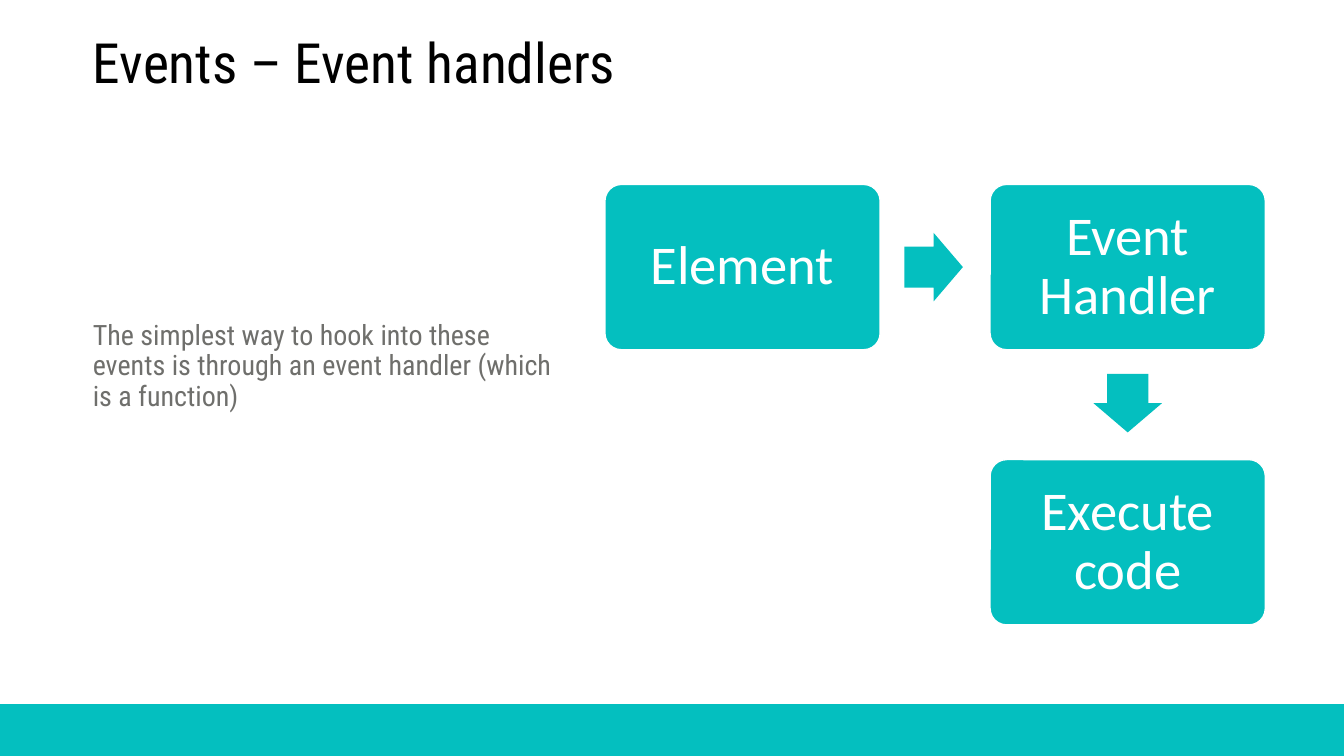
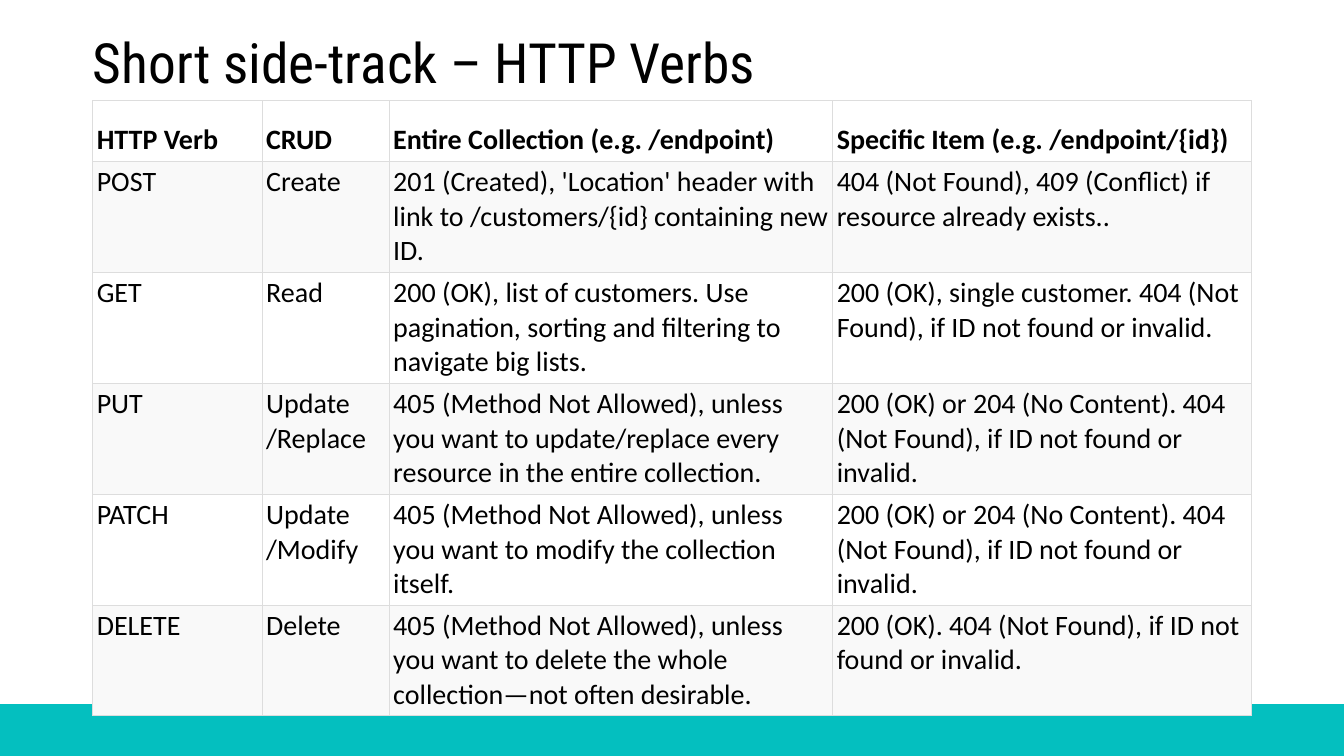
from lxml import etree
from pptx import Presentation
from pptx import util as u
from pptx.dml.color import RGBColor
from pptx.enum import shapes, text
from pptx.oxml.ns import qn

# Content
HANDLERS_TITLE = "Events – Event handlers"
HANDLERS_TEXT = ("The simplest way to hook into these events is through "
                 "an event handler (which is a function)")
# Flow steps: label, grid column, grid row
FLOW = [("Element", 0, 0), ("Event Handler", 1, 0), ("Execute code", 1, 1)]

VERBS_TITLE = "Short side-track – HTTP Verbs"
VERBS = [
    ("HTTP Verb", "CRUD", "Entire Collection (e.g. /endpoint)",
     "Specific Item (e.g. /endpoint/{id})"),
    ("POST", "Create",
     "201 (Created), 'Location' header with link to /customers/{id} containing new ID.",
     "404 (Not Found), 409 (Conflict) if resource already exists.."),
    ("GET", "Read",
     "200 (OK), list of customers. Use pagination, sorting and filtering to navigate big lists.",
     "200 (OK), single customer. 404 (Not Found), if ID not found or invalid."),
    ("PUT", "Update\n/Replace",
     "405 (Method Not Allowed), unless you want to update/replace every resource "
     "in the entire collection.",
     "200 (OK) or 204 (No Content). 404 (Not Found), if ID not found or invalid."),
    ("PATCH", "Update\n/Modify",
     "405 (Method Not Allowed), unless you want to modify the collection itself.",
     "200 (OK) or 204 (No Content). 404 (Not Found), if ID not found or invalid."),
    ("DELETE", "Delete",
     "405 (Method Not Allowed), unless you want to delete the whole "
     "collection—not often desirable.",
     "200 (OK). 404 (Not Found), if ID not found or invalid."),
]

# Theme
COLORS = {"accent": "04BFBF", "white": "FFFFFF", "black": "000000",
          "grey": "6F6F6C", "stripe": "F9F9F9", "border": "DDDDDD"}
STYLES = {  # font, size, colour, bold
    "title": ("Roboto Condensed", 39.6, "black", False),
    "body": ("Roboto Condensed", 20, "grey", False),
    "step": ("Calibri", 39, "white", False),
    "header": ("Calibri", 20, "black", True),
    "cell": ("Calibri", 20, "black", False),
}

# Layout, in inches
WIDTH, HEIGHT = 13.33, 7.5
BAND_HEIGHT = 0.51
MARGIN = 0.92
TITLE_BOX = (MARGIN, 0.36, 10.16, 0.64)
BODY_BOX = (MARGIN, 1.27, 4.68, 4.74)
TEXT_INSETS = (0, 0.05, 0.1, 0.05)
FLOW_LEFT, FLOW_TOP = 6, 1.83
STEP_WIDTH, STEP_HEIGHT = 2.73, 1.64
STEP_GAP = 1.09
ARROW_LENGTH, ARROW_BREADTH, ARROW_GAP = 0.58, 0.68, 0.24
TABLE_TOP = 1
COLUMN_WIDTHS = (1.68, 1.26, 4.4, 4.15)
ROW_HEIGHTS = (0.6,) + (1.09,) * (len(VERBS) - 1)
CELL_INSET = 0.04


def inches(values):
    return [u.Inches(value) for value in values]


def rgb(name):
    return RGBColor.from_string(COLORS[name])


def set_margins(target, insets):
    for side, inset in zip(("left", "top", "right", "bottom"), insets):
        setattr(target, f"margin_{side}", u.Inches(inset))


def write(frame, words, style, align=text.PP_ALIGN.LEFT, spacing=None):
    frame.word_wrap = True
    frame.text = words
    name, size, color, bold = STYLES[style]
    for paragraph in frame.paragraphs:
        paragraph.alignment = align
        paragraph.line_spacing = spacing
        for run in paragraph.runs:
            for key, value in {"name": name, "size": u.Pt(size), "bold": bold}.items():
                setattr(run.font, key, value)
            run.font.color.rgb = rgb(color)


def add_block(slide, kind, box, line=None, adjustments=()):
    """Add an accent-coloured shape without a shadow."""
    shape = slide.shapes.add_shape(kind, *inches(box))
    shape.shadow.inherit = False
    shape.fill.solid()
    shape.fill.fore_color.rgb = rgb("accent")
    if line:
        shape.line.color.rgb = rgb(line)
        shape.line.width = u.Pt(1)
    else:
        shape.line.fill.background()
    for index, value in enumerate(adjustments):
        shape.adjustments[index] = value
    return shape


def add_slide(presentation, title):
    slide = presentation.slides.add_slide(presentation.slide_layouts[5])
    shape = slide.shapes.title
    shape.left, shape.top, shape.width, shape.height = inches(TITLE_BOX)
    set_margins(shape.text_frame, TEXT_INSETS)
    shape.text_frame.vertical_anchor = text.MSO_ANCHOR.BOTTOM
    shape.text_frame.auto_size = text.MSO_AUTO_SIZE.NONE
    write(shape.text_frame, title, "title", spacing=0.9)
    add_block(slide, shapes.MSO_SHAPE.RECTANGLE,
              (0, HEIGHT - BAND_HEIGHT, WIDTH, BAND_HEIGHT), "accent")
    return slide


def add_arrow(slide, start, end):
    """Add a block arrow in the gap after a step, pointing to the next one."""
    (left, top), (next_left, _) = start, end
    if next_left > left:
        kind = shapes.MSO_SHAPE.RIGHT_ARROW
        box = (left + STEP_WIDTH + ARROW_GAP, top + (STEP_HEIGHT - ARROW_BREADTH) / 2,
               ARROW_LENGTH, ARROW_BREADTH)
    else:
        kind = shapes.MSO_SHAPE.DOWN_ARROW
        box = (left + (STEP_WIDTH - ARROW_BREADTH) / 2, top + STEP_HEIGHT + ARROW_GAP,
               ARROW_BREADTH, ARROW_LENGTH)
    add_block(slide, kind, box, adjustments=(0.6, 0.5))


def add_flow(slide):
    corners = [(FLOW_LEFT + column * (STEP_WIDTH + STEP_GAP),
                FLOW_TOP + row * (STEP_HEIGHT + STEP_GAP)) for _, column, row in FLOW]
    for (label, _, _), corner in zip(FLOW, corners):
        step = add_block(slide, shapes.MSO_SHAPE.ROUNDED_RECTANGLE,
                         (*corner, STEP_WIDTH, STEP_HEIGHT), "white", (0.1,))
        set_margins(step.text_frame, (0.2,) * 4)
        step.text_frame.vertical_anchor = text.MSO_ANCHOR.MIDDLE
        write(step.text_frame, label, "step", text.PP_ALIGN.CENTER, 0.9)
    for start, end in zip(corners, corners[1:]):
        add_arrow(slide, start, end)


def add_borders(cell):
    properties = cell._tc.get_or_add_tcPr()
    for side in ("lnL", "lnR", "lnT", "lnB"):
        line = etree.SubElement(properties, qn(f"a:{side}"), w=str(u.Pt(0.75)))
        fill = etree.SubElement(line, qn("a:solidFill"))
        etree.SubElement(fill, qn("a:srgbClr"), val=COLORS["border"])


def add_verb_table(slide):
    box = (MARGIN, TABLE_TOP, sum(COLUMN_WIDTHS), sum(ROW_HEIGHTS))
    table = slide.shapes.add_table(len(VERBS), len(COLUMN_WIDTHS), *inches(box)).table
    for column, width in zip(table.columns, COLUMN_WIDTHS):
        column.width = u.Inches(width)
    for row_index, (row, height) in enumerate(zip(table.rows, ROW_HEIGHTS)):
        row.height = u.Inches(height)
        is_header = row_index == 0
        for cell, words in zip(row.cells, VERBS[row_index]):
            add_borders(cell)
            cell.fill.solid()
            cell.fill.fore_color.rgb = rgb("stripe" if row_index % 2 else "white")
            set_margins(cell, (CELL_INSET,) * 4)
            cell.vertical_anchor = (text.MSO_ANCHOR.BOTTOM if is_header
                                    else text.MSO_ANCHOR.TOP)
            write(cell.text_frame, words, "header" if is_header else "cell")


def build_handlers_slide(presentation):
    slide = add_slide(presentation, HANDLERS_TITLE)
    frame = slide.shapes.add_textbox(*inches(BODY_BOX)).text_frame
    set_margins(frame, TEXT_INSETS)
    frame.vertical_anchor = text.MSO_ANCHOR.MIDDLE
    write(frame, HANDLERS_TEXT, "body", spacing=0.9)
    add_flow(slide)


def build_verbs_slide(presentation):
    add_verb_table(add_slide(presentation, VERBS_TITLE))


def main():
    presentation = Presentation()
    presentation.slide_width, presentation.slide_height = inches((WIDTH, HEIGHT))
    build_handlers_slide(presentation)
    build_verbs_slide(presentation)
    presentation.save("out.pptx")


if __name__ == "__main__":
    main()
